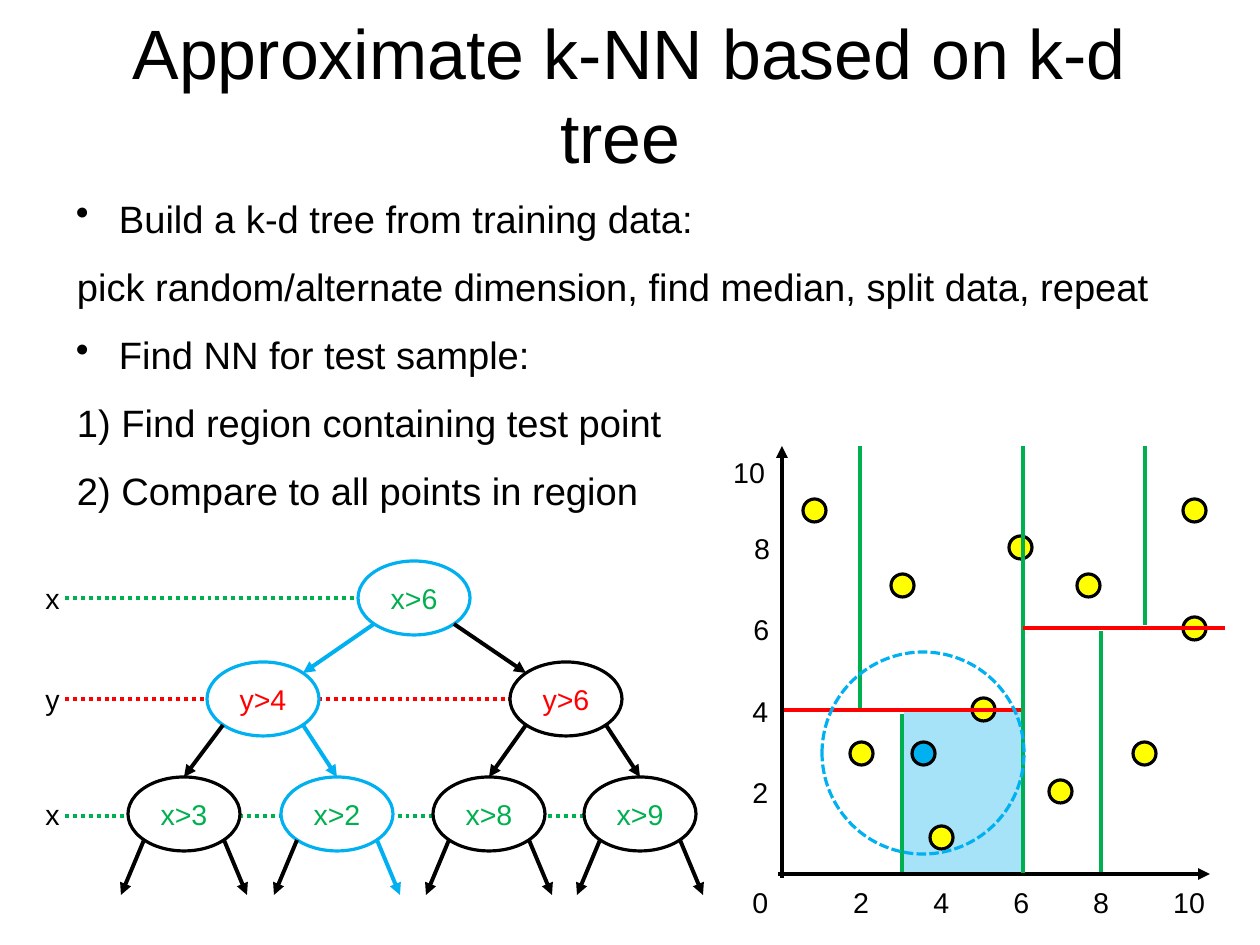
"""Builds the slide on approximate k-NN search with a k-d tree."""
import pptx
import pptx.util
import pptx.dml.color
import pptx.enum.dml
import pptx.enum.shapes
import pptx.enum.text
import pptx.oxml
import pptx.oxml.ns
from lxml import etree

PX = 8000
SIZE = (1260, 945)
COLORS = {"black": "000000", "white": "FFFFFF", "green": "00B050",
          "red": "FF0000", "blue": "00B0F0", "yellow": "FFFF00"}

TITLE = "Approximate k-NN based on k-d tree "
BODY = [
    ("•", "Build a k-d tree from training data:"),
    ("", "pick random/alternate dimension, find median, split data, repeat"),
    ("•", "Find NN for test sample:"),
    ("", "1) Find region containing test point"),
    ("", "2) Compare to all points in region"),
]

LEVELS = [
    {"axis": "x", "y": 598, "line_y": 598, "color": "green",
     "nodes": [(414, "x>6", "blue")]},
    {"axis": "y", "y": 699, "line_y": 699, "color": "red",
     "nodes": [(263, "y>4", "blue"), (566, "y>6", "black")]},
    {"axis": "x", "y": 814, "line_y": 816, "color": "green",
     "nodes": [(184, "x>3", "black"), (337, "x>2", "blue"),
               (489, "x>8", "black"), (640, "x>9", "black")]},
]
NODE_W, NODE_H = 112, 74
EDGE_DX, EDGE_DY = 40, 26
LEAF_DX, LEAF_DY = 63, 81
SEARCH_LEAF = (1, 1)

AXES = [(782, 878, 782, 446), (778, 874, 1210, 874)]
X_TICKS = [("0", 741)] + [(str(2 * i + 2), 842 + 80 * i) for i in range(5)]
Y_TICKS = [("2", 741, 769), ("4", 741, 688), ("6", 742, 606),
           ("8", 743, 525), ("10", 722, 449)]
POINTS = [(815, 511), (903, 586), (862, 754), (942, 838), (984, 710), (1061, 792),
          (1195, 629), (1021, 548), (1089, 586), (1195, 511), (1145, 754)]
TEST_POINT = (924, 754)
SPLITS = [("green", 1023, 873, 1023, 446), ("green", 860, 710, 860, 446),
          ("green", 902, 872, 902, 714), ("red", 784, 710, 1021, 710),
          ("red", 1023, 628, 1225, 628), ("green", 1101, 872, 1101, 631),
          ("green", 1145, 625, 1145, 446)]
REGION = (904, 711, 121, 161)
SEARCH_CIRCLE = (822, 652, 202, 202)

SHAPE = pptx.enum.shapes.MSO_SHAPE
DASH = pptx.enum.dml.MSO_LINE
ALIGN = pptx.enum.text.PP_ALIGN
MIDDLE = pptx.enum.text.MSO_ANCHOR.MIDDLE
qn = pptx.oxml.ns.qn


def rgb(name):
    return pptx.dml.color.RGBColor.from_string(COLORS[name])


def emu(*lengths):
    return [v * PX for v in lengths]


def style(p, size, color="black"):
    p.font.name = "Arial"
    p.font.size = pptx.util.Pt(size)
    p.font.color.rgb = rgb(color)


def add_line(s, ends, color, dash=None, arrow=False):
    cx = s.shapes.add_connector(pptx.enum.shapes.MSO_CONNECTOR.STRAIGHT, *emu(*ends))
    cx.line.color.rgb = rgb(color)
    cx.line.width = pptx.util.Pt(2.5)
    if dash:
        cx.line.dash_style = dash
    props = cx._element.spPr
    if arrow:
        etree.SubElement(props.find(qn("a:ln")), qn("a:tailEnd"), type="triangle")
    etree.SubElement(props, qn("a:effectLst"))


def add_shape(s, kind, box, fill=None, line=None):
    sp = s.shapes.add_shape(kind, *emu(*box))
    sp.shadow.inherit = False
    if fill:
        sp.fill.solid()
        sp.fill.fore_color.rgb = rgb(fill)
    else:
        sp.fill.background()
    if line:
        sp.line.color.rgb = rgb(line)
        sp.line.width = pptx.util.Pt(2)
    else:
        sp.line.fill.background()
    return sp


def add_frame(s, box):
    tf = s.shapes.add_textbox(*emu(*box)).text_frame
    tf.word_wrap = True
    tf.margin_left = tf.margin_right = tf.margin_top = tf.margin_bottom = 0
    return tf


def add_label(s, text, left, top):
    tf = s.shapes.add_textbox(*emu(left, top, 57 if len(text) > 1 else 39, 46)).text_frame
    tf.word_wrap = False
    tf.text = text
    style(tf.paragraphs[0], 18)


def add_point(s, center, fill):
    x, y = center
    add_shape(s, SHAPE.OVAL, (x - 12, y - 12, 23, 23), fill, "black")


def add_text(s):
    tf = add_frame(s, (63, 38, 1134, 111))
    tf.vertical_anchor = MIDDLE
    tf.text = TITLE
    tf.paragraphs[0].alignment = ALIGN.CENTER
    style(tf.paragraphs[0], 44)

    tf = add_frame(s, (63, 195, 1134, 327))
    for i, (bullet, text) in enumerate(BODY):
        p = tf.add_paragraph() if i else tf.paragraphs[0]
        p.text = text
        p.space_after = pptx.util.Pt(14.1)
        props = p._p.get_or_add_pPr()
        left, indent = (56, -43) if bullet else (14, 0)
        props.set("marL", str(left * PX))
        props.set("indent", str(indent * PX))
        if bullet:
            color = etree.SubElement(props, qn("a:buClr"))
            etree.SubElement(color, qn("a:srgbClr"), val=COLORS["black"])
            etree.SubElement(props, qn("a:buChar"), char=bullet)
        style(p, 24)


def add_plot(s):
    region = add_shape(s, SHAPE.RECTANGLE, REGION, "blue")
    color = region._element.spPr.find(qn("a:solidFill")).find(qn("a:srgbClr"))
    etree.SubElement(color, qn("a:alpha"), val="35000")
    for ends in AXES:
        add_line(s, ends, "black", arrow=True)
    for text, left in X_TICKS:
        add_label(s, text, left, 879)
    for tick in Y_TICKS:
        add_label(s, *tick)
    for center in POINTS:
        add_point(s, center, "yellow")
    add_point(s, TEST_POINT, "blue")
    for color, *ends in SPLITS:
        add_line(s, ends, color)
    circle = add_shape(s, SHAPE.OVAL, SEARCH_CIRCLE, line="blue")
    circle.line.dash_style = DASH.SQUARE_DOT


def add_tree(s):
    for level in LEVELS:
        y = level["y"]
        ends = (65, level["line_y"], level["nodes"][-1][0], level["line_y"])
        add_line(s, ends, level["color"], DASH.ROUND_DOT)
        add_label(s, level["axis"], 34, y - 23)
        for x, text, outline in level["nodes"]:
            box = (x - NODE_W // 2, y - NODE_H // 2, NODE_W, NODE_H)
            tf = add_shape(s, SHAPE.OVAL, box, "white", outline).text_frame
            tf.word_wrap = False
            tf.vertical_anchor = MIDDLE
            tf.text = text
            tf.paragraphs[0].alignment = ALIGN.CENTER
            style(tf.paragraphs[0], 18, level["color"])

    for depth, level in enumerate(LEVELS):
        y = level["y"]
        for i, (x, _, _) in enumerate(level["nodes"]):
            for k, side in enumerate((-1, 1)):
                if depth == 2:
                    end = (x + side * LEAF_DX, y + LEAF_DY)
                    color = "blue" if (i, k) == SEARCH_LEAF else "black"
                else:
                    child_x, _, color = LEVELS[depth + 1]["nodes"][2 * i + k]
                    child_y = LEVELS[depth + 1]["y"]
                    end = ((child_x - side * EDGE_DX, child_y - EDGE_DY) if depth == 0
                           else (child_x, child_y - NODE_H // 2))
                start = (x + side * EDGE_DX, y + EDGE_DY)
                add_line(s, start + end, color, arrow=True)


def main():
    prs = pptx.Presentation()
    prs.slide_width, prs.slide_height = emu(*SIZE)
    s = prs.slides.add_slide(prs.slide_layouts[6])
    add_text(s)
    add_plot(s)
    add_tree(s)
    prs.save("out.pptx")


if __name__ == "__main__":
    main()
